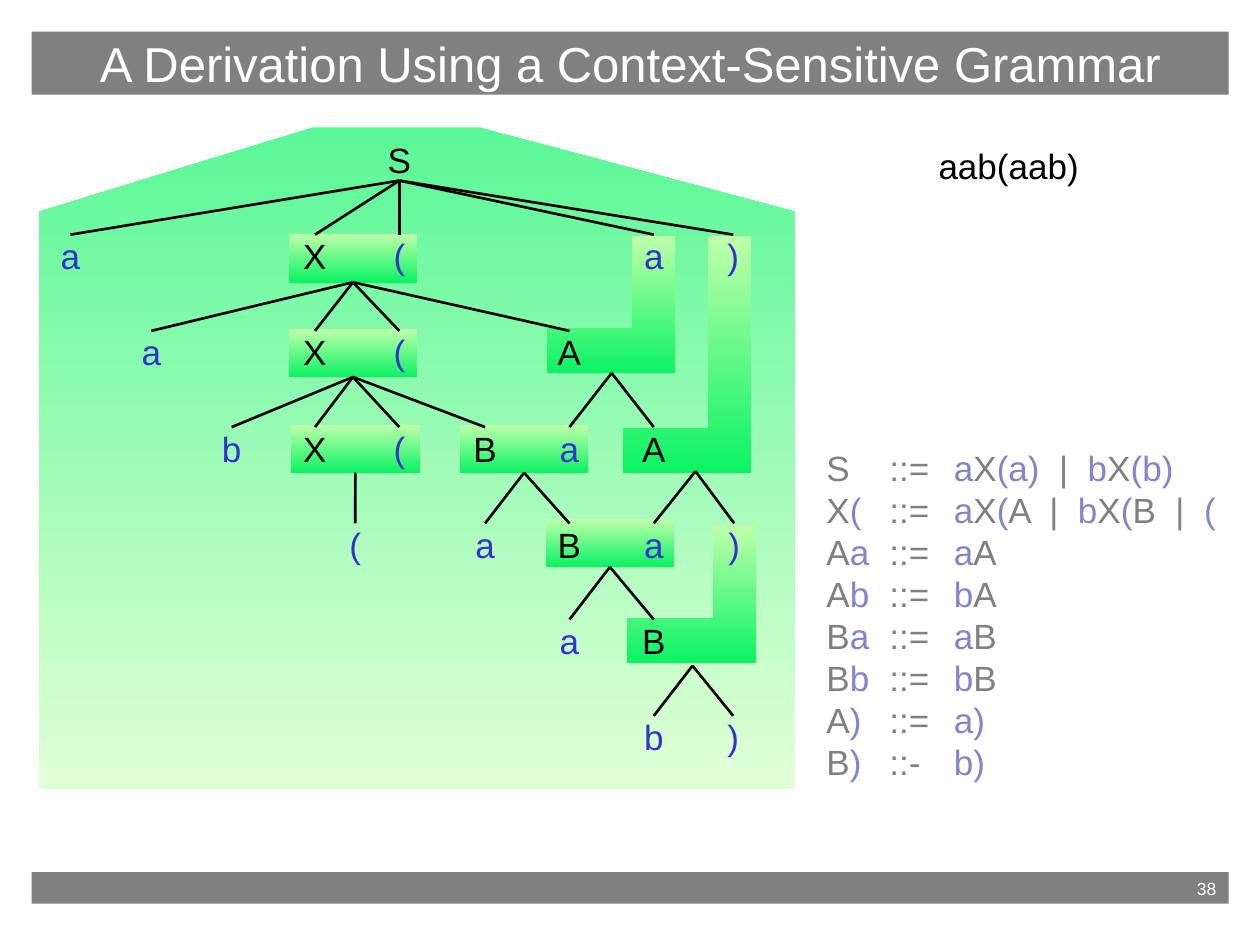
from itertools import groupby

from lxml import etree
from pptx import Presentation
from pptx import util as u
from pptx.dml.color import RGBColor
from pptx.enum import shapes, text
from pptx.oxml import ns

GREY = RGBColor(0x80, 0x80, 0x80)
WHITE = RGBColor(0xFF, 0xFF, 0xFF)
BLACK = RGBColor(0, 0, 0)
BLUE = RGBColor(0x33, 0x33, 0xCC)
PALE_BLUE = RGBColor(0x84, 0x84, 0xCE)
HOUSE_COLORS = (RGBColor(0x5A, 0xF8, 0x96), RGBColor(0xE1, 0xFF, 0xD7))
BOX_COLORS = (RGBColor(0xBF, 0xFF, 0xAB), RGBColor(0x0B, 0xF3, 0x63))

# Content; all lengths are in centimetres
TITLE = "A Derivation Using a Context-Sensitive Grammar"
PAGE_NUMBER = "38"
SENTENCE = "aab(aab)"
RULES = [
    "S\t::=\taX(a)  |  bX(b)",
    "X(\t::=\taX(A  |  bX(B  |  (",
    "Aa\t::=\taA",
    "Ab\t::=\tbA",
    "Ba\t::=\taB",
    "Bb\t::=\tbB",
    "A)\t::=\ta)",
    "B)\t::-\tb)",
]
RULE_TABS = (1.27, 2.57)
HOUSE = [(6.3, 2.57), (0.79, 4.27), (0.79, 15.9),
         (16.03, 15.9), (16.03, 4.27), (9.68, 2.57)]

ROOT = ("S", 8.05)
# Children of S, then of each rectangular box (left, top): row, (symbol, centre)
ROOT_CHILDREN = (1, [("a", 1.42), ("X", 6.35), ("(", 8.05), ("a", 13.18), (")", 14.78)])
FLAT_BOXES = [
    (5.82, 4.72, 2, [("a", 3.05), ("X", 6.35), ("(", 8.05), ("A", 11.48)]),
    (5.82, 6.63, 3, [("b", 4.67), ("X", 6.35), ("(", 8.05), ("B", 9.78)]),
    (5.87, 8.56, 4, [("(", 7.16)]),
    (9.27, 8.56, 4, [("a", 9.78), ("B", 11.48)]),
    (11.0, 10.46, 5, [("a", 11.48), ("B", 13.18)]),
]
# L-shaped boxes (left, top, height, apex of the branches): row, (symbol, centre)
CORNER_BOXES = [
    (11.02, 4.75, 2.77, (12.33, 7.52), 3, [("a", 11.48), ("A", 13.18)]),
    (12.55, 4.75, 4.78, (14.02, 9.5), 4, [("a", 13.18), (")", 14.8)]),
    (12.65, 10.59, 2.77, (13.96, 13.42), 6, [("b", 13.18), (")", 14.78)]),
]
BOX_WIDTH, BOX_HEIGHT, STEM_WIDTH, FOOT_HEIGHT = 2.59, 0.97, 0.86, 0.89
FIRST_ROW, ROW_PITCH, LETTER_HEIGHT = 2.79, 1.94, 0.85

FRAME = {"vertical_anchor": text.MSO_ANCHOR.MIDDLE, "word_wrap": False,
         "auto_size": text.MSO_AUTO_SIZE.SHAPE_TO_FIT_TEXT}
NO_MARGINS = dict.fromkeys(("margin_left", "margin_top", "margin_right", "margin_bottom"), 0)

presentation = Presentation()
presentation.slide_width, presentation.slide_height = u.Cm(25.4), u.Cm(19.05)
slide = presentation.slides.add_slide(presentation.slide_layouts[6])


def set_values(target, values):
    for name, value in values.items():
        setattr(target, name, value)


def add_run(paragraph, words, color, size=20):
    run = paragraph.add_run()
    run.text = words
    set_values(run.font, {"name": "Arial", "size": u.Pt(size)})
    run.font.color.rgb = color


def add_rectangle(left, top, width, height):
    shape = slide.shapes.add_shape(shapes.MSO_SHAPE.RECTANGLE,
                                   *map(u.Cm, (left, top, width, height)))
    shape.shadow.inherit = False
    shape.line.fill.background()
    return shape


def add_outline(points):
    points = [(u.Cm(x), u.Cm(y)) for x, y in points]
    builder = slide.shapes.build_freeform(*points[0])
    builder.add_line_segments(points[1:], close=True)
    shape = builder.convert_to_shape()
    shape.shadow.inherit = False
    shape.line.fill.background()
    return shape


def shade(shape, colors):
    shape.fill.gradient()
    shape.fill.gradient_angle = 270
    for stop, color in zip(shape.fill.gradient_stops, colors):
        stop.color.rgb = color


def add_bar(top, height, words, size, alignment, anchor):
    shape = add_rectangle(0.64, top, 24.13, height)
    shape.fill.solid()
    shape.fill.fore_color.rgb = GREY
    shape.text_frame.vertical_anchor = anchor
    paragraph = shape.text_frame.paragraphs[0]
    paragraph.alignment = alignment
    add_run(paragraph, words, WHITE, size)


def add_text_box(left, top, width, height, values=FRAME):
    box = slide.shapes.add_textbox(*map(u.Cm, (left, top, width, height)))
    set_values(box.text_frame, values)
    return box


def add_letter(symbol, center, row):
    width = 0.48 if symbol.isupper() else 0.41 if symbol.islower() else 0.23
    box = add_text_box(center - width / 2, FIRST_ROW + row * ROW_PITCH,
                       width, LETTER_HEIGHT, FRAME | NO_MARGINS)
    paragraph = box.text_frame.paragraphs[0]
    paragraph.alignment = text.PP_ALIGN.CENTER
    add_run(paragraph, symbol, BLACK if symbol.isupper() else BLUE)
    return box


def add_branches(parent, apex, row, children):
    for symbol, center in children:
        letter = add_letter(symbol, center, row)
        x, y = map(u.Cm, apex)
        line = slide.shapes.add_connector(shapes.MSO_CONNECTOR.STRAIGHT, x, y, x, y)
        if parent is not None:
            line.begin_connect(parent, 2)
        line.end_connect(letter, 0)
        line.line.width = u.Pt(1.5)
        line.line.color.rgb = BLACK
        etree.SubElement(line._element.spPr, ns.qn("a:effectLst"))


def add_tabs(paragraph, positions):
    tabs = etree.SubElement(paragraph._p.get_or_add_pPr(), ns.qn("a:tabLst"))
    for position in positions:
        etree.SubElement(tabs, ns.qn("a:tab"), pos=str(u.Cm(position)), algn="l")


def is_terminal(character):
    return character.islower() or character in "()"


# Page number bar and title bar
add_bar(17.58, 0.64, PAGE_NUMBER, 10, text.PP_ALIGN.RIGHT, text.MSO_ANCHOR.TOP)
add_bar(0.64, 1.27, TITLE, 28, text.PP_ALIGN.CENTER, text.MSO_ANCHOR.MIDDLE)

# House-shaped backdrop and the boxes around left-hand sides
shade(add_outline(HOUSE), HOUSE_COLORS)
branches = []
for left, top, height, apex, row, children in CORNER_BOXES:
    right, bottom = left + BOX_WIDTH, top + height
    stem, foot = right - STEM_WIDTH, bottom - FOOT_HEIGHT
    shade(add_outline([(right, top), (stem, top), (stem, foot), (left, foot),
                       (left, bottom), (right, bottom)]), BOX_COLORS)
    branches.append((None, apex, row, children))
for left, top, row, children in FLAT_BOXES:
    box = add_rectangle(left, top, BOX_WIDTH, BOX_HEIGHT)
    shade(box, BOX_COLORS)
    branches.append((box, (left + BOX_WIDTH / 2, top + BOX_HEIGHT), row, children))

# Derivation tree
root = add_letter(*ROOT, 0)
add_branches(root, (ROOT[1], FIRST_ROW + LETTER_HEIGHT), *ROOT_CHILDREN)
for branch in branches:
    add_branches(*branch)

# Grammar rules, with terminals in blue
rule_frame = add_text_box(16.41, 8.86, 8.38, 7.04).text_frame
for index, rule in enumerate(RULES):
    paragraph = rule_frame.add_paragraph() if index else rule_frame.paragraphs[0]
    add_tabs(paragraph, RULE_TABS)
    for terminal, characters in groupby(rule, is_terminal):
        add_run(paragraph, "".join(characters), PALE_BLUE if terminal else GREY)

# Derived sentence
sentence_frame = add_text_box(18.67, 2.77, 3.33, 1.12).text_frame
add_run(sentence_frame.paragraphs[0], SENTENCE, BLACK)

presentation.save("out.pptx")
